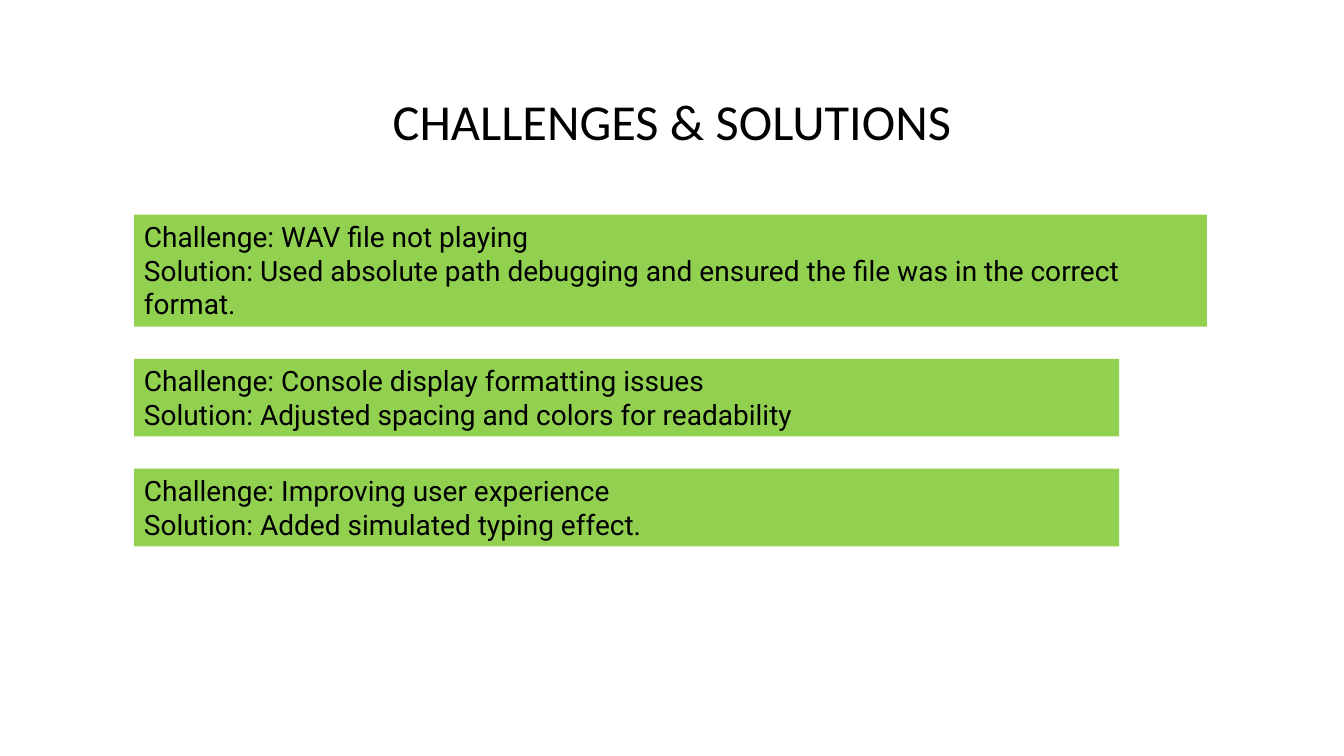
from dataclasses import dataclass

from pptx import Presentation
from pptx.dml.color import RGBColor
from pptx.enum.text import MSO_ANCHOR, PP_ALIGN
from pptx.slide import Slide
from pptx.text.text import TextFrame
from pptx.util import Inches, Pt

COLORS = {"text": "000000", "card": "92D050", "background": "FFFFFF"}
CARD_LEFT = 1.33
FIRST_CARD_TOP = 2.13
CARD_GAP = 0.32


@dataclass(frozen=True)
class Card:
    challenge: str
    solution: str
    width: float
    height: float


CARDS = [
    Card("WAV file not playing",
         "Used absolute path debugging and ensured the file was in the correct format.",
         10.64, 1.11),
    Card("Console display formatting issues",
         "Adjusted spacing and colors for readability", 9.77, 0.77),
    Card("Improving user experience",
         "Added simulated typing effect.", 9.77, 0.77),
]


def write_text(frame: TextFrame, text: str, *, font: str, size: float,
               align: PP_ALIGN = PP_ALIGN.LEFT) -> None:
    frame.word_wrap = True
    frame.vertical_anchor = MSO_ANCHOR.TOP
    frame.text = text
    for paragraph in frame.paragraphs:
        paragraph.alignment = align
        for run in paragraph.runs:
            run.font.name = font
            run.font.size = Pt(size)
            run.font.color.rgb = RGBColor.from_string(COLORS["text"])


def add_title(slide: Slide, text: str) -> None:
    box = slide.shapes.add_textbox(Inches(2.24), Inches(0.84), Inches(8.85), Inches(0.71))
    write_text(box.text_frame, text, font="Calibri", size=36, align=PP_ALIGN.CENTER)


def add_card(slide: Slide, card: Card, top: float) -> None:
    box = slide.shapes.add_textbox(Inches(CARD_LEFT), Inches(top),
                                   Inches(card.width), Inches(card.height))
    box.fill.solid()
    box.fill.fore_color.rgb = RGBColor.from_string(COLORS["card"])
    text = f"Challenge: {card.challenge}\nSolution: {card.solution}"
    write_text(box.text_frame, text, font="Roboto", size=20)


def main() -> None:
    presentation = Presentation()
    presentation.slide_width = Inches(13.33)
    presentation.slide_height = Inches(7.5)
    slide = presentation.slides.add_slide(presentation.slide_layouts[6])
    slide.background.fill.solid()
    slide.background.fill.fore_color.rgb = RGBColor.from_string(COLORS["background"])

    add_title(slide, "CHALLENGES & SOLUTIONS")
    top = FIRST_CARD_TOP
    for card in CARDS:
        add_card(slide, card, top)
        top += card.height + CARD_GAP

    presentation.save("out.pptx")


if __name__ == "__main__":
    main()
